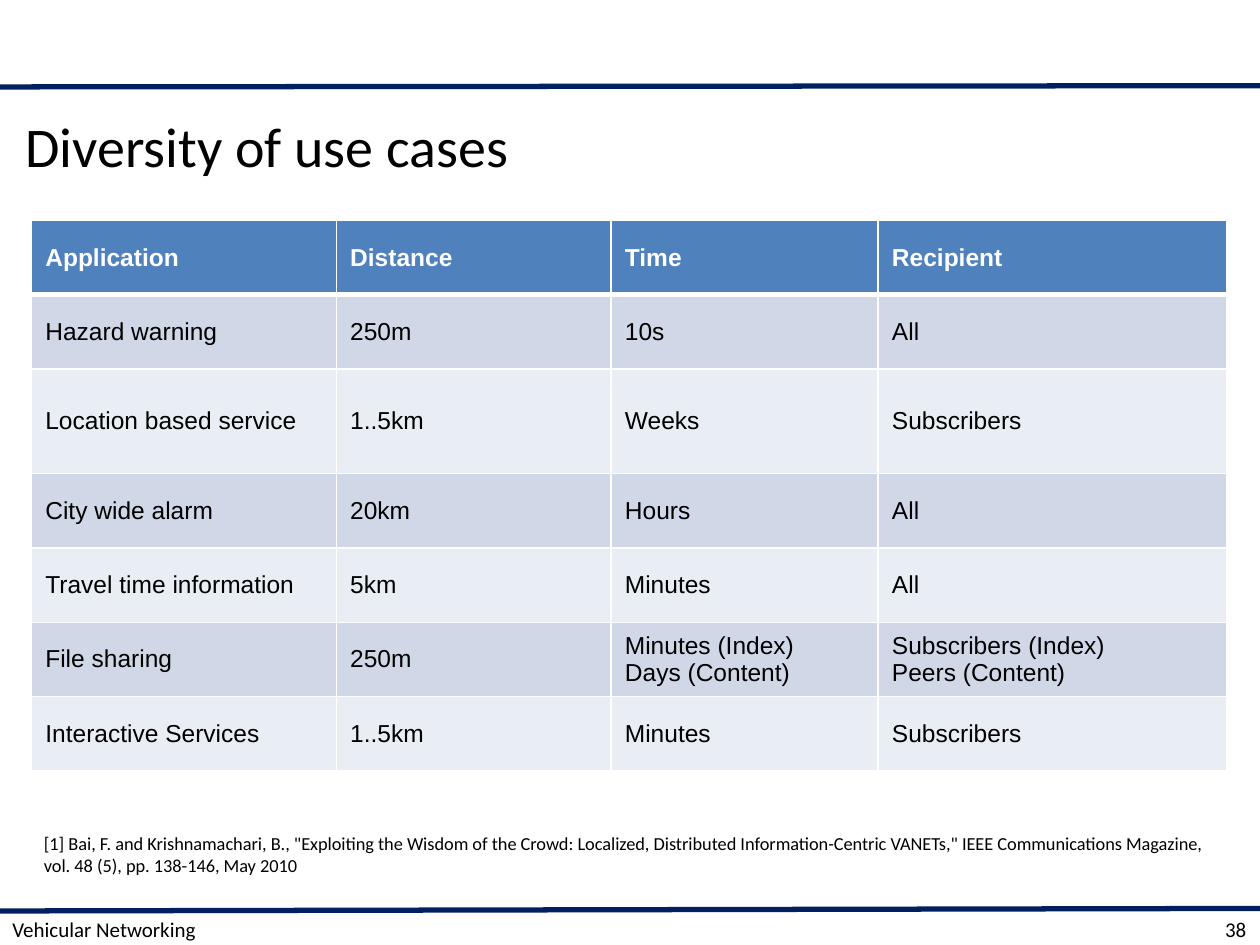
from lxml import etree
from pptx import Presentation
from pptx import util as u
from pptx.dml.color import RGBColor
from pptx.enum import shapes, text
from pptx.oxml.ns import qn

WIDTH, HEIGHT = 10, 7.5
MARGIN = WIDTH / 40
NAVY, BLACK, WHITE = "002060", "000000", "FFFFFF"
HEADER_FILL, BANDS = "4F81BD", ("D0D8E8", "E9EDF4")
COLUMNS = (2.42, 2.18, 2.12, 2.77)
ROW, TALL_ROW, TALL_INDEX = 0.59, 0.83, 2
USE_CASES = (
    ("Application", "Distance", "Time", "Recipient"),
    ("Hazard warning", "250m", "10s", "All"),
    ("Location based service", "1..5km", "Weeks", "Subscribers"),
    ("City wide alarm", "20km", "Hours", "All"),
    ("Travel time information", "5km", "Minutes", "All"),
    ("File sharing", "250m", "Minutes (Index)\nDays (Content)",
     "Subscribers (Index)\nPeers (Content)"),
    ("Interactive Services", "1..5km", "Minutes", "Subscribers"),
)
CITATION = (
    '[1] Bai, F. and Krishnamachari, B., "Exploiting the Wisdom of the Crowd: '
    'Localized, Distributed Information-Centric VANETs," IEEE Communications '
    'Magazine, vol. 48 (5), pp. 138-146, May 2010'
)


def rgb(value):
    return RGBColor.from_string(value)


def write(frame, words, size, font="Calibri", color=BLACK, bold=False,
          align=text.PP_ALIGN.LEFT):
    frame.text = words
    for paragraph in frame.paragraphs:
        paragraph.alignment = align
        for run in paragraph.runs:
            run.font.name = font
            run.font.size = u.Pt(size)
            run.font.bold = bold
            run.font.color.rgb = rgb(color)


def add_title(slide, words):
    title = slide.shapes.title
    title.left, title.top = u.Inches(0), u.Inches(HEIGHT / 10)
    title.width, title.height = u.Inches(WIDTH), u.Inches(0.8)
    frame = title.text_frame
    frame.margin_left = frame.margin_right = u.Inches(0.2)
    frame.auto_size = text.MSO_AUTO_SIZE.NONE
    frame.vertical_anchor = text.MSO_ANCHOR.MIDDLE
    write(frame, words, 32)


def add_rule(slide, start, end):
    rule = slide.shapes.add_connector(
        shapes.MSO_CONNECTOR.STRAIGHT, u.Inches(0), u.Inches(start),
        u.Inches(WIDTH), u.Inches(end))
    rule.line.color.rgb = rgb(NAVY)
    rule.line.width = u.Pt(3)
    etree.SubElement(rule._element.spPr, qn("a:effectLst"))


def add_label(slide, words, left, top, width, height, size,
              anchor=text.MSO_ANCHOR.MIDDLE, align=text.PP_ALIGN.LEFT):
    label = slide.shapes.add_textbox(*map(u.Inches, (left, top, width, height)))
    frame = label.text_frame
    frame.word_wrap = True
    frame.vertical_anchor = anchor
    write(frame, words, size, align=align)


def add_borders(cell, top, bottom):
    properties = cell._tc.get_or_add_tcPr()
    for side, width in (("L", 1), ("R", 1), ("T", top), ("B", bottom)):
        line = etree.SubElement(properties, qn(f"a:ln{side}"), w=str(u.Pt(width)))
        fill = etree.SubElement(line, qn("a:solidFill"))
        etree.SubElement(fill, qn("a:srgbClr"), val=WHITE)


def format_cell(cell, words, row):
    header = row == 0
    add_borders(cell, 3 if row == 1 else 1, 3 if header else 1)
    cell.fill.solid()
    cell.fill.fore_color.rgb = rgb(HEADER_FILL if header else BANDS[(row - 1) % 2])
    cell.vertical_anchor = text.MSO_ANCHOR.MIDDLE
    cell.margin_left = cell.margin_right = u.Inches(0.11)
    write(cell.text_frame, words, 14, "Arial", WHITE if header else BLACK, header)


def add_use_cases(slide):
    heights = [TALL_ROW if i == TALL_INDEX else ROW for i in range(len(USE_CASES))]
    table = slide.shapes.add_table(
        len(USE_CASES), len(COLUMNS), u.Inches(MARGIN), u.Inches(1.75),
        u.Inches(sum(COLUMNS)), u.Inches(sum(heights))).table
    for column, width in zip(table.columns, COLUMNS):
        column.width = u.Inches(width)
    for row, (height, entries) in enumerate(zip(heights, USE_CASES)):
        table.rows[row].height = u.Inches(height)
        for column, words in enumerate(entries):
            format_cell(table.cell(row, column), words, row)


def main():
    deck = Presentation()
    deck.slide_width, deck.slide_height = u.Inches(WIDTH), u.Inches(HEIGHT)
    slide = deck.slides.add_slide(deck.slide_layouts[5])
    add_rule(slide, 7.23, 7.21)
    add_rule(slide, 0.69, 0.68)
    add_title(slide, "Diversity of use cases")
    add_use_cases(slide)
    footer = HEIGHT - 0.25
    add_label(slide, "Vehicular Networking", 0, footer, WIDTH, 0.25, 12)
    add_label(slide, "38", 8.83, footer, 1.16, 0.25, 12, align=text.PP_ALIGN.RIGHT)
    add_label(slide, CITATION, MARGIN, 6.08, WIDTH - 2 * MARGIN, 0.92, 10.5,
              anchor=text.MSO_ANCHOR.BOTTOM)
    deck.save("out.pptx")


if __name__ == "__main__":
    main()
